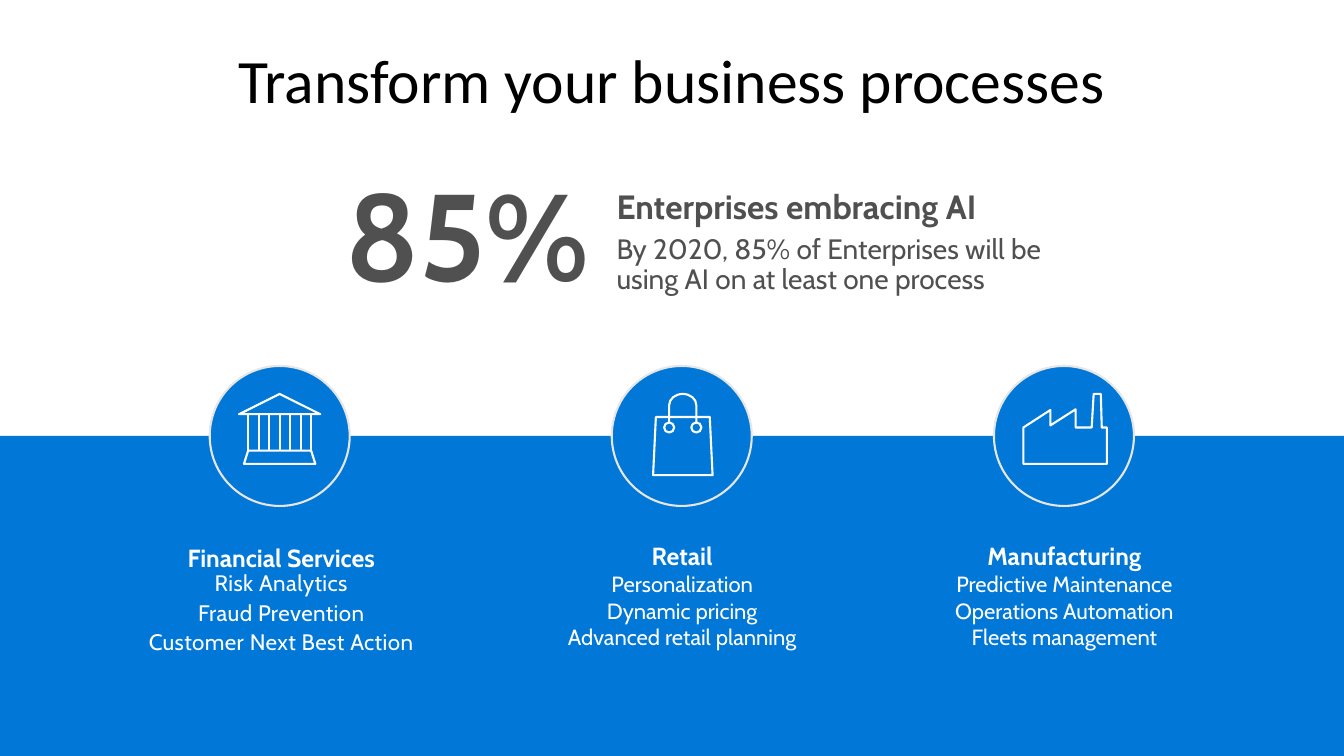
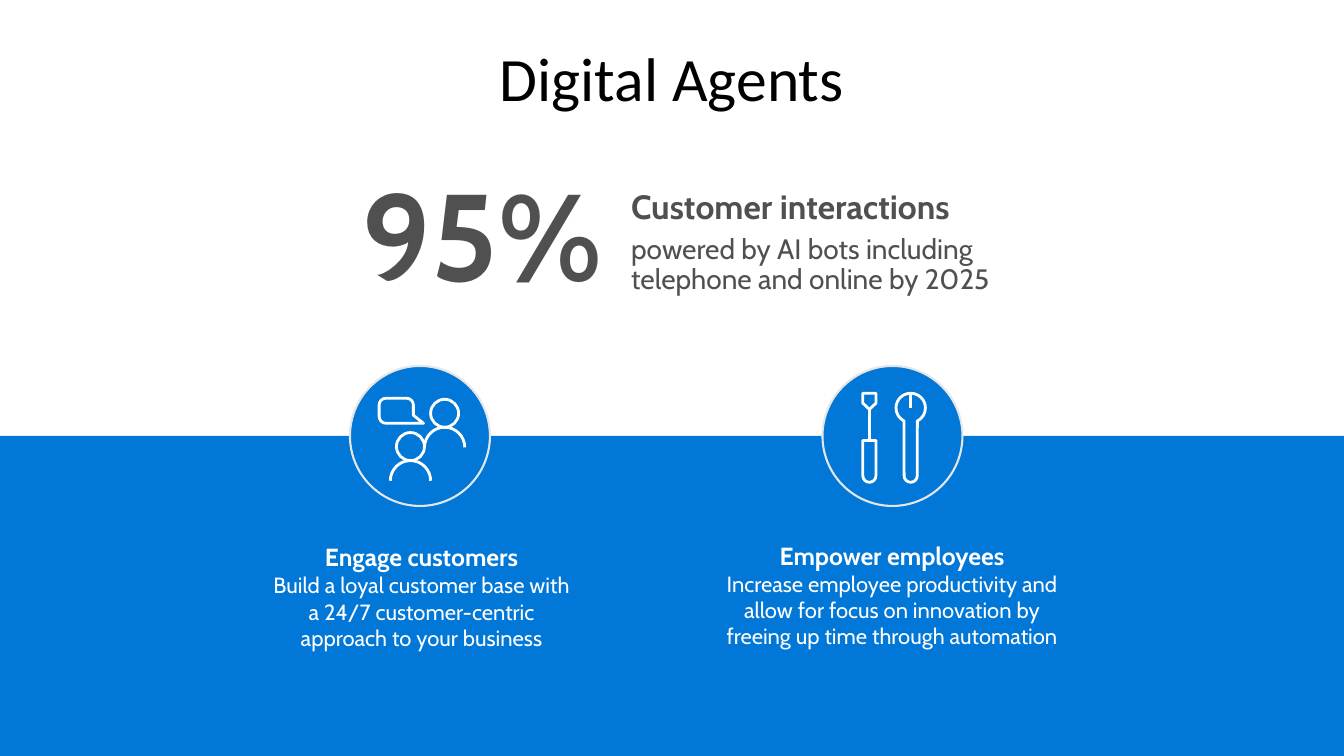
"""Build two statistic slides with icon columns on a blue band."""
from dataclasses import dataclass
from math import ceil, cos, radians, sin, tan

from lxml.etree import SubElement
from pptx import Presentation
from pptx.dml.color import RGBColor
from pptx.enum.shapes import MSO_SHAPE as Preset
from pptx.enum.text import MSO_ANCHOR as Anchor, MSO_AUTO_SIZE as AutoSize, PP_ALIGN as Align
from pptx.oxml.ns import qn
from pptx.util import Pt


@dataclass(frozen=True)
class Theme:
    blue: RGBColor = RGBColor.from_string("0177D7")
    white: RGBColor = RGBColor.from_string("FFFFFF")
    black: RGBColor = RGBColor.from_string("000000")
    gray: RGBColor = RGBColor.from_string("505050")
    ring: RGBColor = RGBColor.from_string("E7E6E6")
    title_font: str = "Calibri"
    body_font: str = "Cabin"
    title_size: float = 44
    number_size: float = 88
    claim_size: float = 24
    detail_size: float = 20
    heading_size: float = 17.64
    item_size: float = 15.68
    wide_item_size: float = 16


THEME = Theme()
PAGE_WIDTH, PAGE_HEIGHT = 960, 540
BAND_TOP = 311.4
CIRCLE = 100


def add_text(frame, text, *, size, color, font=THEME.body_font, bold=False,
             align=Align.CENTER, spacing=None, after=0, tracking=0):
    first = frame.paragraphs[0]
    para = frame.add_paragraph() if first.runs else first
    para.alignment = align
    para.line_spacing = spacing
    para.space_after = Pt(after)
    span = para.add_run()
    span.text = text
    span.font.name = font
    span.font.size = Pt(size)
    span.font.bold = bold
    span.font.color.rgb = color
    if tracking:
        span._r.get_or_add_rPr().set("spc", str(round(tracking * 100)))


def arc(x, y, radius, start, end, height=None):
    height = height or radius
    count = ceil(abs(end - start) / 90)
    step = radians(end - start) / count
    pull = 4 / 3 * tan(step / 4)
    segments = [((x + radius * cos(radians(start)), y + height * sin(radians(start))),)]
    for i in range(count):
        a = radians(start) + i * step
        b = a + step
        segments.append((
            (x + radius * (cos(a) - pull * sin(a)), y + height * (sin(a) + pull * cos(a))),
            (x + radius * (cos(b) + pull * sin(b)), y + height * (sin(b) - pull * cos(b))),
            (x + radius * cos(b), y + height * sin(b))))
    return segments


def lines(*points):
    return [(point,) for point in points]


def circle(x, y, radius):
    return arc(x, y, radius, 0, 360), True


def bank():
    roof = lines((0, -30), (29, -15.5), (-29, -15.5))
    base = lines((-22.5, 10.5), (22.5, 10.5), (25.5, 20), (-25.5, 20))
    columns = [(lines((x, -15.5), (x, 10.5)), False) for x in (7.5 * i for i in range(-3, 4))]
    return [(roof, True), (base, True), *columns]


def bag():
    body = lines((-18.5, -13.5), (20, -13.5), (22, 28), (-20.5, 28))
    handle = [*lines((-9, -9.5)), *arc(0.7, -22, 9.7, 180, 360, height=8), *lines((10.4, -9.5))]
    return [(body, True), (handle, False), circle(-9, -6, 3.6), circle(10.4, -6, 3.6)]


def factory():
    outline = lines((-29, -6), (-9.7, -18.5), (-9.7, -7.5), (8.3, -19), (8.3, -6), (19.8, -6),
                    (21.2, -30), (26.3, -30), (27, -6), (30.6, -6), (30.6, 20), (-29, 20))
    return [(outline, True)]


def person(x, y):
    return [circle(x, y, 10), (arc(x, y + 24.4, 14.4, 180, 360), False)]


def conversation():
    bubble = [*lines((-4.7, -14.8)), *arc(-9.7, -22, 5, 0, -90), *arc(-24.2, -22, 5, -90, -180),
              *arc(-24.2, -14, 5, 180, 90), *lines((2.5, -9))]
    return [*person(-6.8, 7.6), *person(17.6, -16.2), (bubble, True)]


def tools():
    wrench = [*arc(13, -20, 10.5, 63, 0), *arc(13, -20, 10.5, 0, -180)[1:],
              *arc(13, -20, 10.5, 180, 117)[1:], *arc(13, 28.4, 4.7, 180, 0)]
    handle = [*lines((-11.8, 3.2), (-21.2, 3.2)), *arc(-16.5, 28.4, 4.7, 180, 0)]
    tip = lines((-21.2, -30.5), (-11.8, -30.5), (-11.8, -23.4), (-16.5, -19), (-21.2, -23.4))
    return [(wrench, True), (lines((13, -30.5), (13, -20)), False), (handle, True),
            (tip, True), (lines((-16.5, -19), (-16.5, 3.2)), False)]


def bend(drawing, strokes):
    straight = iter(list(drawing._element.iter(qn("a:lnTo"))))
    for segments, _ in strokes:
        for segment in segments[1:]:
            parts = [next(straight) for _ in segment]
            if len(parts) == 3:
                parent = parts[0].getparent()
                curve = SubElement(parent, qn("a:cubicBezTo"))
                parent.replace(parts[0], curve)
                for part in parts:
                    curve.append(part[0])
                for part in parts[1:]:
                    parent.remove(part)


class Deck:
    """Hold the style, the presentation and the current page."""

    def __init__(self, theme):
        self.theme = theme
        self.deck = Presentation()
        self.deck.slide_width, self.deck.slide_height = Pt(PAGE_WIDTH), Pt(PAGE_HEIGHT)
        self.page = None

    def add_page(self, title, title_top):
        self.page = self.deck.slides.add_slide(self.deck.slide_layouts[6])
        self.shape(Preset.RECTANGLE, 0, BAND_TOP, PAGE_WIDTH, PAGE_HEIGHT - BAND_TOP)
        frame = self.box(21, title_top, 918, 70.5, grow=False)
        frame.vertical_anchor = Anchor.MIDDLE
        add_text(frame, title, size=self.theme.title_size, color=self.theme.black,
                 font=self.theme.title_font, spacing=0.9)

    def box(self, left, top, width, height, margins=(7.2, 3.6), grow=True):
        frame = self.page.shapes.add_textbox(Pt(left), Pt(top), Pt(width), Pt(height)).text_frame
        frame.word_wrap = True
        frame.auto_size = AutoSize.SHAPE_TO_FIT_TEXT if grow else AutoSize.NONE
        frame.margin_left = frame.margin_right = Pt(margins[0])
        frame.margin_top = frame.margin_bottom = Pt(margins[1])
        return frame

    def shape(self, preset, left, top, width, height, line=None):
        shape = self.page.shapes.add_shape(preset, Pt(left), Pt(top), Pt(width), Pt(height))
        shape.shadow.inherit = False
        shape.fill.solid()
        shape.fill.fore_color.rgb = self.theme.blue
        if line is None:
            shape.line.fill.background()
        else:
            shape.line.color.rgb = line
            shape.line.width = Pt(1.5)

    def icon(self, center, strokes, weight):
        builder = None
        for segments, closed in strokes:
            start, *rest = [(Pt(center + x), Pt(BAND_TOP + y))
                            for segment in segments for x, y in segment]
            if builder is None:
                builder = self.page.shapes.build_freeform(*start, scale=1.0)
            else:
                builder.move_to(*start)
            builder.add_line_segments(rest, close=closed)
        drawing = builder.convert_to_shape()
        bend(drawing, strokes)
        drawing.shadow.inherit = False
        drawing.fill.background()
        drawing.line.color.rgb = self.theme.white
        drawing.line.width = Pt(weight)

    def statistic(self, left, number, claim, detail, width):
        theme = self.theme
        style = dict(color=theme.gray, spacing=0.9, after=6)
        frame = self.box(left, 113.6, 232, 121, margins=(14.4, 11.5))
        add_text(frame, number, size=theme.number_size, bold=True, **style)
        frame = self.box(left + 208, 124.5, width, 99, margins=(14.4, 11.5))
        add_text(frame, claim, size=theme.claim_size, bold=True, align=Align.LEFT, **style)
        add_text(frame, detail, size=theme.detail_size, align=Align.LEFT, **style)

    def column(self, center, strokes, heading, items, *, top=383, width=269, shift=0.3,
               weight=1.5, **item_format):
        theme = self.theme
        self.shape(Preset.OVAL, center - CIRCLE / 2, BAND_TOP - CIRCLE / 2,
                   CIRCLE, CIRCLE, line=theme.ring)
        self.icon(center, strokes, weight)
        frame = self.box(center + shift - width / 2, top, width, 87)
        add_text(frame, heading, size=theme.heading_size, color=theme.white, bold=True)
        item_style = {"size": theme.item_size, "color": theme.white, **item_format}
        for item in items:
            add_text(frame, item, **item_style)

    def save(self):
        self.deck.save("out.pptx")


def main():
    deck = Deck(THEME)

    deck.add_page("Transform your business processes", 24.5)
    deck.statistic(218, "85%", "Enterprises embracing AI",
                   "By 2020, 85% of Enterprises will be using AI on at least one process", 346)
    deck.column(199.8, bank(), "Financial Services",
                ["Risk Analytics", "Fraud Prevention", "Customer Next Best Action"],
                top=383.8, width=226, shift=1.1,
                size=THEME.wide_item_size, spacing=0.9, after=4, tracking=0.3)
    deck.column(487, bag(), "Retail",
                ["Personalization", "Dynamic pricing", "Advanced retail planning"])
    deck.column(760, factory(), "Manufacturing",
                ["Predictive Maintenance", "Operations Automation", "Fleets management"])

    deck.add_page("Digital Agents", 23)
    deck.statistic(228.4, "95%", "Customer interactions",
                   "powered by AI bots including telephone and online by 2025", 295)
    deck.column(300, conversation(), "Engage customers",
                ["Build a loyal customer base with a 24/7 customer-centric "
                 "approach to your business"], top=383.6, width=226, shift=1.1, weight=2)
    deck.column(637.5, tools(), "Empower employees",
                ["Increase employee productivity and allow for focus on innovation by "
                 "freeing up time through automation"], top=382.5, shift=-0.3, weight=2)

    deck.save()


if __name__ == "__main__":
    main()
